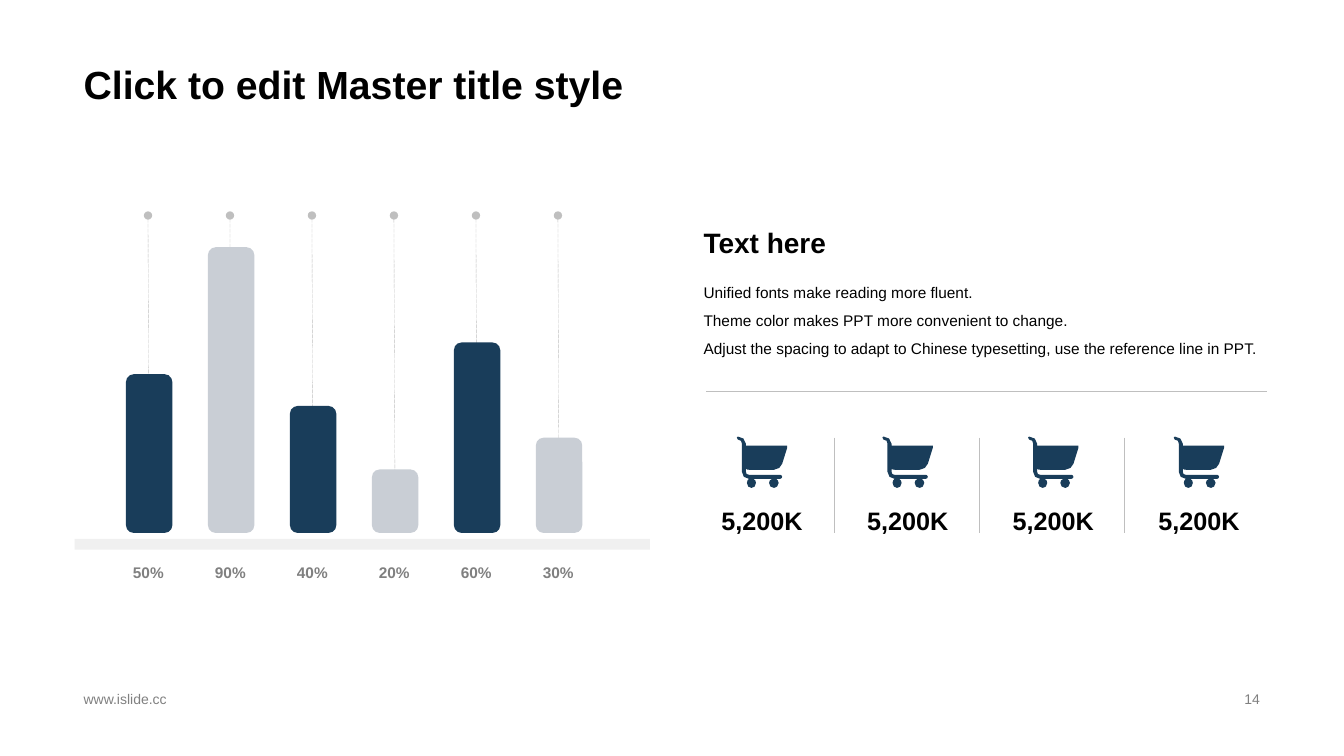
import pptx
import pptx.dml.color
import pptx.enum.dml
import pptx.enum.shapes
import pptx.enum.text
import pptx.oxml
import pptx.oxml.ns
import pptx.util

Cm = pptx.util.Cm
ALIGN = pptx.enum.text.PP_ALIGN
ANCHOR = pptx.enum.text.MSO_ANCHOR
SHAPE = pptx.enum.shapes.MSO_SHAPE

COLORS = {
    "navy": "193D5A",
    "silver": "C9CED5",
    "base": "F0F0F0",
    "line": "BFBFBF",
    "muted": "808080",
    "text": "000000",
}
PERCENTAGES = [50, 90, 40, 20, 60, 30]
STATISTICS = ["5,200K"] * 4
BODY = [
    "Unified fonts make reading more fluent.",
    "Theme color makes PPT more convenient to change.",
    "Adjust the spacing to adapt to Chinese typesetting, use the reference line in PPT.",
]
CART_UNIT = 0.0254
CART_START = (5, 35)
CART_SEGMENTS = [
    (5, 39, 8, 42, 12, 42),
    (11, 43, 10, 44, 10, 46),
    (10, 49, 12, 51, 14.5, 51),
    (17, 51, 19, 49, 19, 46),
    (19, 44, 18, 43, 16.5, 42),
    (35, 42),
    (33, 43, 32, 44, 32, 46),
    (32, 49, 34, 51, 37, 51),
    (39, 51, 41.5, 49, 41.5, 46),
    (41.5, 44, 40, 43, 39, 42),
    (43, 42),
    (44, 42, 45, 41, 45, 40),
    (45, 39, 44, 38, 43, 38),
    (12, 38),
    (10, 38, 9, 37, 9, 35),
    (9, 32),
    (10, 33, 11, 33, 12, 33),
    (37, 33),
    (41, 33, 44, 30, 45, 27),
    (50, 11),
    (50, 9),
    (48, 9),
    (9, 9),
    (9, 7),
    (9, 3, 5, 0, 1, 0),
    (0, 1),
    (1, 3),
    (4, 3, 5, 5, 5, 7),
]


def color(name):
    return pptx.dml.color.RGBColor.from_string(COLORS[name])


def add_text(slide, lines, left, top, width, height, size, bold=False, color_name="text",
             align=ALIGN.LEFT, anchor=ANCHOR.TOP, spacing=1.0, wrap=True):
    box = slide.shapes.add_textbox(Cm(left), Cm(top), Cm(width), Cm(height))
    frame = box.text_frame
    frame.word_wrap = wrap
    frame.vertical_anchor = anchor
    frame.text = "\n".join(lines)
    for paragraph in frame.paragraphs:
        paragraph.alignment = align
        paragraph.line_spacing = spacing
        for run in paragraph.runs:
            run.font.name = "Arial"
            run.font.size = pptx.util.Pt(size)
            run.font.bold = bold
            run.font.color.rgb = color(color_name)


def paint(shape, color_name):
    shape.shadow.inherit = False
    shape.fill.solid()
    shape.fill.fore_color.rgb = color(color_name)
    shape.line.fill.background()


def add_block(slide, kind, left, top, width, height, color_name):
    shape = slide.shapes.add_shape(kind, Cm(left), Cm(top), Cm(width), Cm(height))
    paint(shape, color_name)


def add_line(slide, start_x, start_y, end_x, end_y, dotted=False):
    connector = slide.shapes.add_connector(
        pptx.enum.shapes.MSO_CONNECTOR.STRAIGHT,
        Cm(start_x), Cm(start_y), Cm(end_x), Cm(end_y))
    connector.line.color.rgb = color("line")
    connector.line.width = pptx.util.Pt(0.25)
    properties = connector._element.spPr
    if dotted:
        connector.line.dash_style = pptx.enum.dml.MSO_LINE.ROUND_DOT
        tail = pptx.oxml.parse_xml(
            f'<a:tailEnd {pptx.oxml.ns.nsdecls("a")} type="oval"/>')
        properties.find(pptx.oxml.ns.qn("a:ln")).append(tail)
    properties.append(pptx.oxml.parse_xml(
        f'<a:effectLst {pptx.oxml.ns.nsdecls("a")}/>'))


def curve_points(start, segment):
    first, second, end = segment[0:2], segment[2:4], segment[4:6]
    middle = tuple((a + 3 * b + 3 * c + d) / 8
                   for a, b, c, d in zip(start, first, second, end))
    return [middle, end]


def add_cart(slide, left, top):
    outline = [CART_START]
    for segment in CART_SEGMENTS:
        if len(segment) == 2:
            outline.append(segment)
        else:
            outline.extend(curve_points(outline[-1], segment))
    points = [(Cm(left + x * CART_UNIT), Cm(top + y * CART_UNIT)) for x, y in outline]
    builder = slide.shapes.build_freeform(*points[0])
    builder.add_line_segments(points[1:], close=True)
    paint(builder.convert_to_shape(), "navy")


def add_bars(slide):
    bottom, bar_width, label_width = 13.43, 1.17, 1.37
    pitch = 10.33 / (len(PERCENTAGES) - 1)
    add_block(slide, SHAPE.RECTANGLE, 1.88, 13.58, 14.5, 0.27, "base")
    for index, percentage in enumerate(PERCENTAGES):
        center = 3.76 + index * pitch
        height = percentage * 0.08
        add_line(slide, center, bottom, center - 0.03, 5.43, dotted=True)
        add_block(slide, SHAPE.ROUNDED_RECTANGLE, center - bar_width / 2, bottom - height,
                  bar_width, height, "silver" if index % 2 else "navy")
        add_text(slide, [f"{percentage}%"], center - 0.02 - label_width / 2, 13.97,
                 label_width, 0.79, 11, bold=True, color_name="muted",
                 align=ALIGN.CENTER, spacing=1.2, wrap=False)


def add_statistics(slide):
    for index, statistic in enumerate(STATISTICS):
        left = 17.48 + index * 3.67
        add_cart(slide, left + 1.09, 11)
        add_text(slide, [statistic], left, 12.64, 3.45, 0.94, 18, bold=True,
                 align=ALIGN.CENTER, anchor=ANCHOR.MIDDLE, wrap=False)
        if index:
            divider = 21.03 + (index - 1) * 7.29 / 2
            add_line(slide, divider, 11.03, divider, 13.44)


def main():
    presentation = pptx.Presentation()
    presentation.slide_width = Cm(33.87)
    presentation.slide_height = Cm(19.05)
    slide = presentation.slides.add_slide(presentation.slide_layouts[6])
    add_text(slide, ["Click to edit Master title style"], 1.86, 0, 30.15, 2.84, 28,
             bold=True, anchor=ANCHOR.BOTTOM, spacing=0.9)
    add_text(slide, ["www.islide.cc"], 1.86, 17.32, 11.5, 0.58, 10, color_name="muted",
             anchor=ANCHOR.MIDDLE)
    add_text(slide, ["14"], 23.92, 17.32, 8.08, 0.58, 10, color_name="muted",
             align=ALIGN.RIGHT, anchor=ANCHOR.MIDDLE)
    add_bars(slide)
    add_text(slide, BODY, 17.48, 6.78, 14.5, 2.64, 11, spacing=1.5)
    add_text(slide, ["Text here"], 17.48, 5.56, 14.5, 1.22, 20, bold=True, wrap=False)
    add_statistics(slide)
    add_line(slide, 17.8, 9.86, 31.93, 9.86)
    presentation.save("out.pptx")


if __name__ == "__main__":
    main()
